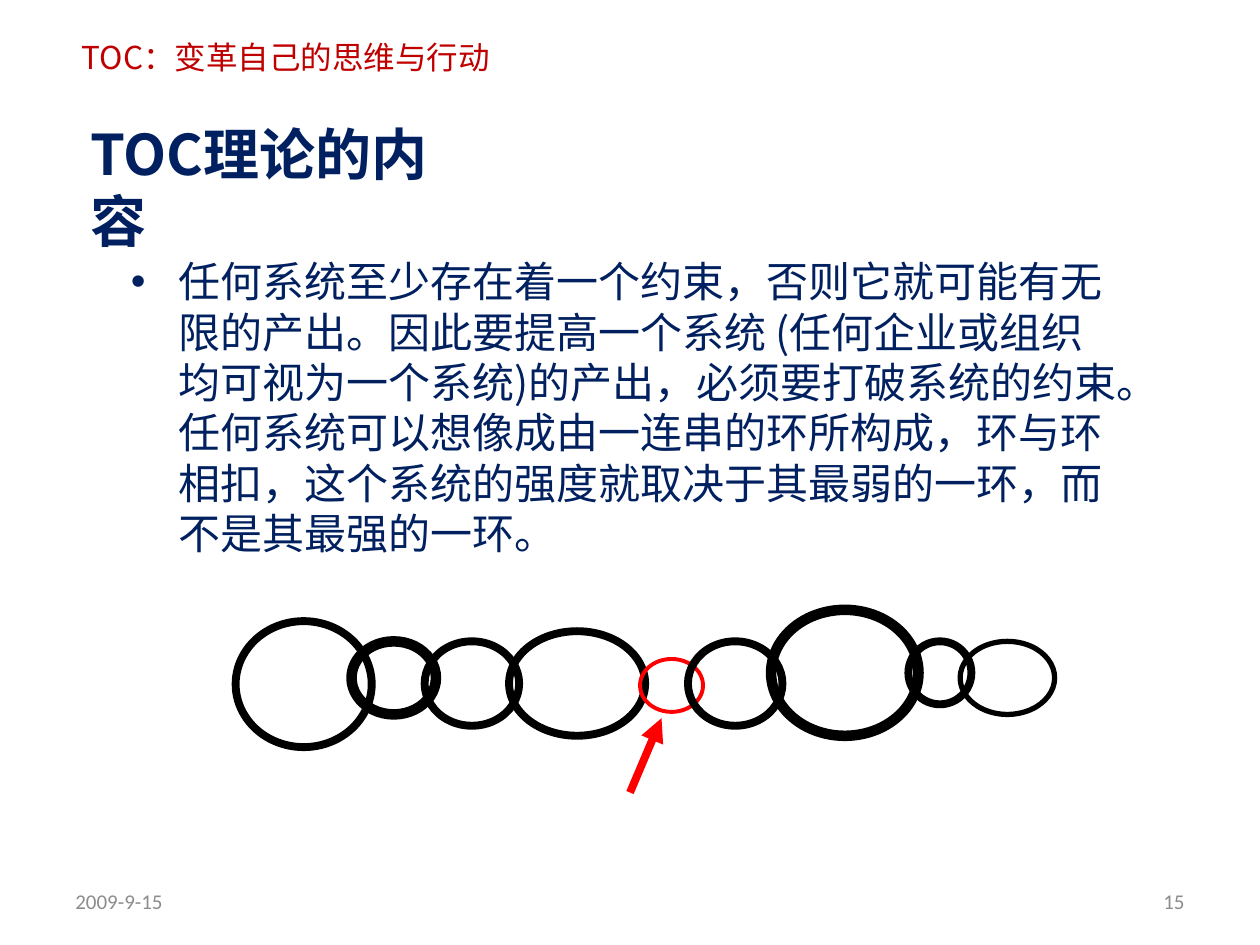
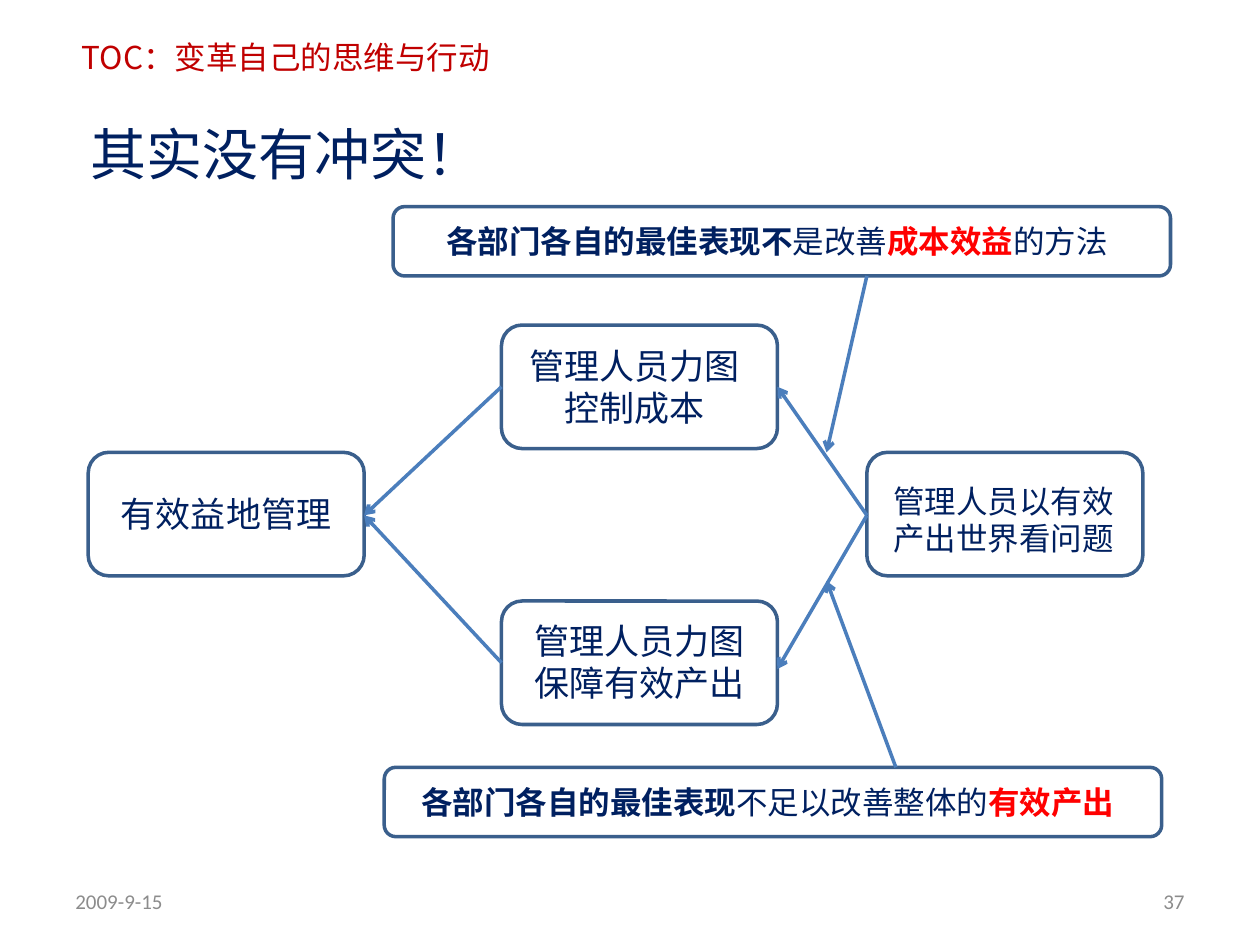
import dataclasses

import lxml.etree
import pptx
import pptx.dml.color
import pptx.enum.shapes
import pptx.enum.text
import pptx.oxml.ns
import pptx.util

COLUMNS, ROWS = 100, 75
ALIGN = pptx.enum.text.PP_ALIGN
ANCHOR = pptx.enum.text.MSO_ANCHOR
SHAPE = pptx.enum.shapes.MSO_SHAPE


@dataclasses.dataclass(frozen=True)
class Theme:
    """Colours, fonts and type sizes shared by the slides."""

    navy: str = "002060"
    crimson: str = "C00000"
    red: str = "FF0000"
    black: str = "000000"
    grey: str = "8C8C8C"
    box_line: str = "3A5F8C"
    arrow_line: str = "4B7EBC"
    heading_font: str = "Noto Sans CJK SC"
    diagram_font: str = "Noto Sans CJK JP"
    footer_font: str = "Calibri"
    title: int = 32
    body: int = 24
    label: int = 20
    small: int = 18
    footer: int = 12
    line_height: float = 1.2
    top_shift: float = 0.09
    diagram_line: float = 2


class Deck:
    """Draws elements on the current slide, measured in grid columns and rows."""

    def __init__(self, theme):
        self.theme = theme
        self.presentation = pptx.Presentation()
        self.presentation.slide_width = pptx.util.Inches(10)
        self.presentation.slide_height = pptx.util.Inches(7.5)
        self.slide = None

    def x(self, columns):
        return round(self.presentation.slide_width * columns / COLUMNS)

    def y(self, rows):
        return round(self.presentation.slide_height * rows / ROWS)

    def place(self, area):
        left, top, width, height = area
        return self.x(left), self.y(top), self.x(width), self.y(height)

    def add_slide(self, title, number, bold=False):
        theme = self.theme
        self.slide = self.presentation.slides.add_slide(self.presentation.slide_layouts[6])
        self.text((5.5, 2.3, 35.9, 4), "TOC：变革自己的思维与行动", theme.small,
                  theme.heading_font, theme.crimson)
        self.text((6.2, 8.6, 33.4 if not bold else 31.3, 6.4), title, theme.title,
                  theme.heading_font, bold=bold)
        self.footer(5, "2009-9-15", ALIGN.LEFT)
        self.footer(71.7, number, ALIGN.RIGHT)

    def frame(self, area):
        text_frame = self.slide.shapes.add_textbox(*self.place(area)).text_frame
        text_frame.word_wrap = True
        return text_frame

    def style_run(self, run, size, font, color, bold=False):
        run.font.size = pptx.util.Pt(size)
        run.font.bold = bold
        run.font.color.rgb = pptx.dml.color.RGBColor.from_string(color)
        run.font.name = font
        east_asian = lxml.etree.SubElement(run._r.get_or_add_rPr(), pptx.oxml.ns.qn("a:ea"))
        east_asian.set("typeface", font)

    def set_leading(self, text_frame, size):
        theme = self.theme
        text_frame.margin_top = pptx.util.Pt(3.6 + theme.top_shift * size)
        text_frame.paragraphs[0].line_spacing = pptx.util.Pt(theme.line_height * size)

    def text(self, area, wording, size, font, color=None, bold=False, align=ALIGN.LEFT):
        text_frame = self.frame(area)
        text_frame.text = wording
        self.set_leading(text_frame, size)
        paragraph = text_frame.paragraphs[0]
        paragraph.alignment = align
        self.style_run(paragraph.runs[0], size, font, color or self.theme.navy, bold)
        return paragraph

    def footer(self, left, wording, align):
        text_frame = self.frame((left, 69.5, 23.3, 4))
        text_frame.text = wording
        text_frame.vertical_anchor = ANCHOR.MIDDLE
        paragraph = text_frame.paragraphs[0]
        paragraph.alignment = align
        self.style_run(paragraph.runs[0], self.theme.footer, self.theme.footer_font,
                       self.theme.grey)

    def bullet(self, area, wording):
        paragraph = self.text(area, wording, self.theme.body, self.theme.heading_font)
        properties = paragraph._p.get_or_add_pPr()
        indent = self.x(3.75)
        properties.set("marL", str(indent))
        properties.set("indent", str(-indent))
        qn = pptx.oxml.ns.qn
        lxml.etree.SubElement(properties, qn("a:buFont")).set("typeface", "Arial")
        lxml.etree.SubElement(properties, qn("a:buChar")).set("char", "•")

    def outline(self, kind, area, color, weight):
        shape = self.slide.shapes.add_shape(kind, *self.place(area))
        shape.shadow.inherit = False
        shape.fill.background()
        shape.line.color.rgb = pptx.dml.color.RGBColor.from_string(color)
        shape.line.width = pptx.util.Pt(weight)

    def ring(self, area, weight, color=None):
        self.outline(SHAPE.OVAL, area, color or self.theme.black, weight)

    def box(self, area):
        self.outline(SHAPE.FLOWCHART_ALTERNATE_PROCESS, area, self.theme.box_line,
                     self.theme.diagram_line)

    def label(self, area, wording, size):
        self.text(area, wording, size, self.theme.diagram_font, align=ALIGN.CENTER)

    def banner(self, left, top, phrases):
        theme = self.theme
        self.box((left, top, 61.7, 5.5))
        text_frame = self.frame((left + 0.75, top + 0.5, 59.4, 4))
        self.set_leading(text_frame, theme.small)
        paragraph = text_frame.paragraphs[0]
        paragraph.alignment = ALIGN.CENTER
        for wording, color, bold in phrases:
            run = paragraph.add_run()
            run.text = wording
            self.style_run(run, theme.small, theme.diagram_font, color, bold)

    def arrow(self, start, end, color=None, weight=None, head="arrow"):
        connector = self.slide.shapes.add_connector(
            pptx.enum.shapes.MSO_CONNECTOR.STRAIGHT,
            self.x(start[0]), self.y(start[1]), self.x(end[0]), self.y(end[1]))
        connector.line.color.rgb = pptx.dml.color.RGBColor.from_string(
            color or self.theme.arrow_line)
        connector.line.width = pptx.util.Pt(weight or self.theme.diagram_line)
        qn = pptx.oxml.ns.qn
        properties = connector.element.spPr
        lxml.etree.SubElement(properties.find(qn("a:ln")), qn("a:tailEnd")).set("type", head)
        lxml.etree.SubElement(properties, qn("a:effectLst"))


def draw_chain(deck):
    """Build the slide on the weakest link of a chain."""
    theme = deck.theme
    deck.add_slide("TOC理论的内容", "15", bold=True)
    deck.bullet((9.4, 19.5, 80.8, 25.8),
                "任何系统至少存在着一个约束，否则它就可能有无限的产出。"
                "因此要提高一个系统 (任何企业或组织均可视为一个系统)的产出，"
                "必须要打破系统的约束。任何系统可以想像成由一连串的环所构成，"
                "环与环相扣，这个系统的强度就取决于其最弱的一环，而不是其最强的一环。")
    weakest = (50.8, 52.3, 5, 4.2)
    deck.ring((40.4, 50.1, 10.8, 8.3), 4.5)
    deck.ring(weakest, 2.25, theme.red)
    strong_links = [
        ((54.6, 50.9, 7.5, 6.7), 4.5),
        ((61.2, 48.4, 11.7, 10), 6),
        ((72.1, 50.9, 5, 5), 4.5),
        ((76.2, 50.9, 7.5, 5.8), 3),
        ((18.7, 49.3, 10.8, 10), 4.5),
        ((27.9, 50.9, 6.7, 5.8), 6),
        ((33.7, 50.9, 7.5, 6.7), 4.5),
    ]
    for area, weight in strong_links:
        deck.ring(area, weight)
    deck.arrow((50, 62.9), (52.5, 57), theme.red, 4.5, "triangle")


def draw_conflict(deck):
    """Build the slide on the conflict that dissolves."""
    theme = deck.theme
    deck.add_slide("其实没有冲突！", "37")
    width, height = 21.9, 9.8
    goal, cost, outlook, output = (7, 35.9), (39.8, 25.8), (68.8, 35.9), (39.8, 47.7)
    for corner in (goal, cost, outlook, output):
        deck.box((*corner, width, height))

    goal_side = (goal[0] + width, 40.9)
    outlook_side = (outlook[0], 40.9)
    need_right = cost[0] + width
    for need in (cost, output):
        deck.arrow((need[0], need[1] + height / 2), goal_side)
    for row in (30.7, 53.1):
        deck.arrow(outlook_side, (need_right, row))

    deck.label((40.6, 26.6, 19.5, 7.7), "管理人员力图控制成本", theme.label)
    deck.label((69.5, 37.5, 20.3, 7.1), "管理人员以有效产出世界看问题", theme.small)
    deck.label((7.8, 38.3, 20.3, 4.4), "有效益地管理", theme.label)
    deck.label((40.6, 48.4, 20.3, 7.7), "管理人员力图保障有效产出", theme.label)

    deck.banner(31.2, 16.4, [
        ("各部门各自的最佳表现不", theme.navy, True),
        ("是改善", theme.navy, False),
        ("成本效益", theme.red, True),
        ("的方法", theme.navy, False),
    ])
    deck.banner(30.5, 60.9, [
        ("各部门各自的最佳表现", theme.navy, True),
        ("不足以改善整体的", theme.navy, False),
        ("有效产出", theme.red, True),
    ])
    deck.arrow((71.1, 60.9), (65.6, 46.1))
    deck.arrow((68.8, 21.9), (65.6, 35.9))


def main():
    """Build both slides and save the deck."""
    deck = Deck(Theme())
    draw_chain(deck)
    draw_conflict(deck)
    deck.presentation.save("out.pptx")


if __name__ == "__main__":
    main()
